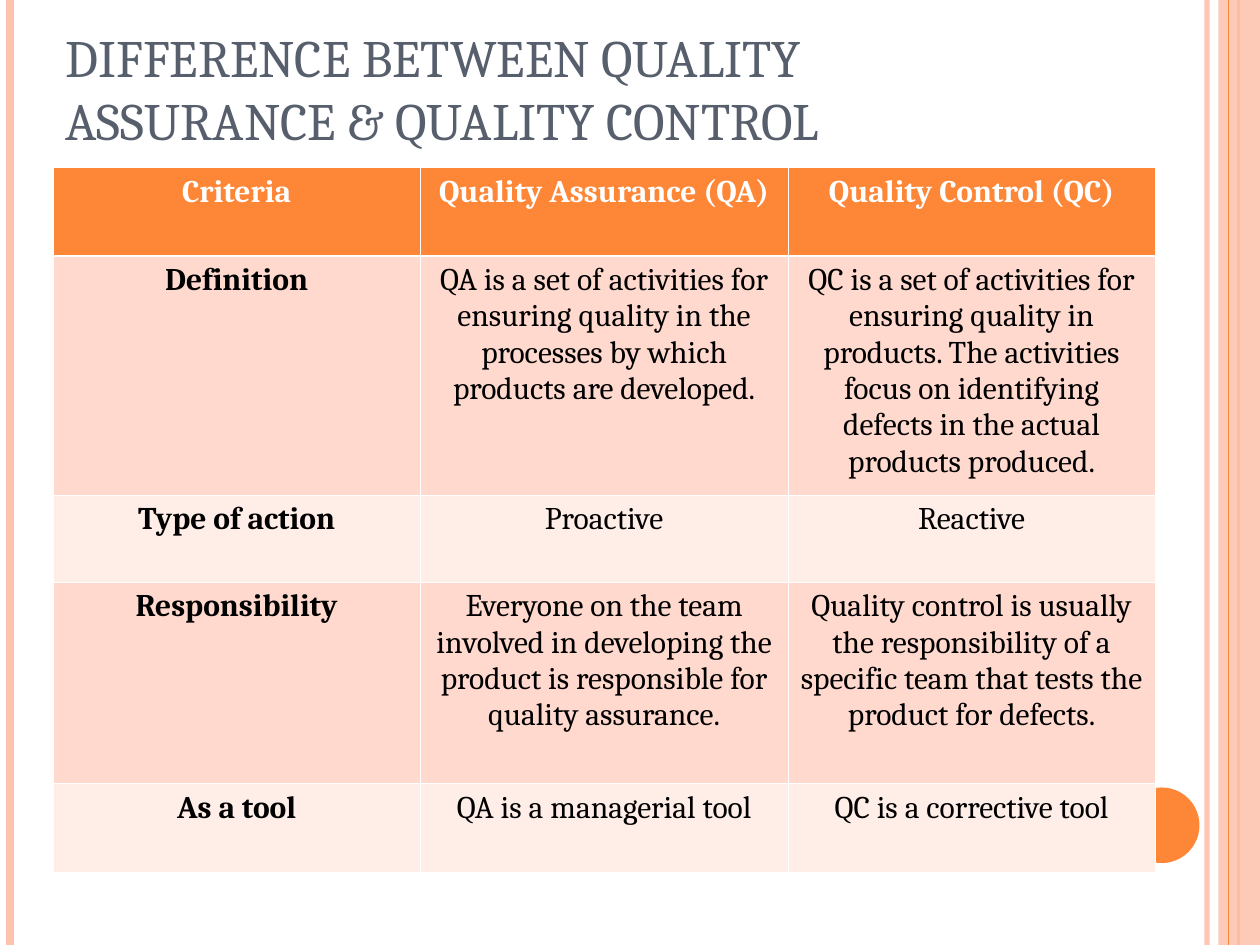
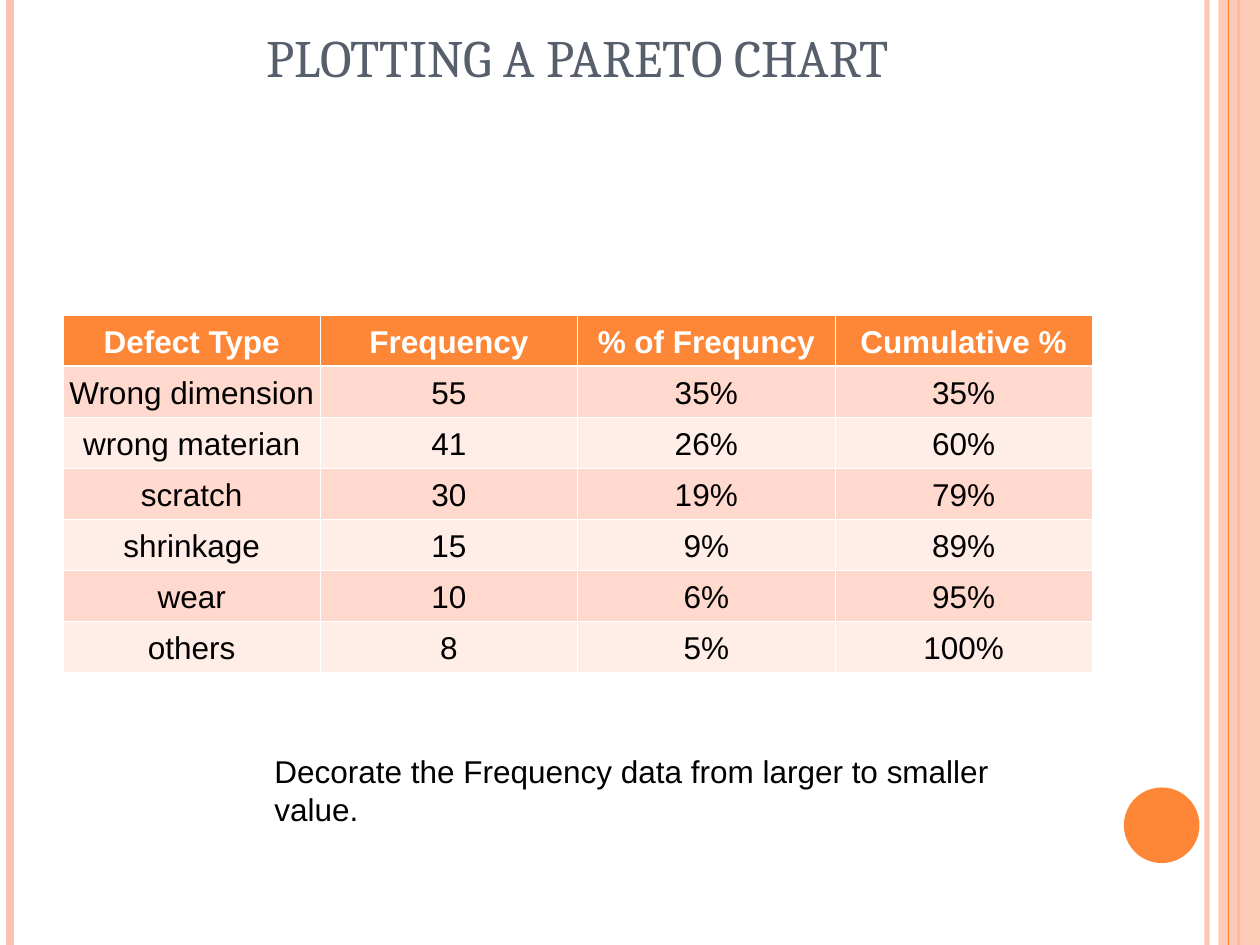
"""Build two slides on quality assurance and Pareto charts."""
import pptx
import pptx.dml.color
import pptx.enum.shapes
import pptx.enum.text
import pptx.oxml
import pptx.oxml.ns
import pptx.util
from lxml import etree

Inches = pptx.util.Inches
Pt = pptx.util.Pt
RGBColor = pptx.dml.color.RGBColor
Align = pptx.enum.text.PP_ALIGN
Anchor = pptx.enum.text.MSO_ANCHOR
Shape = pptx.enum.shapes.MSO_SHAPE
qn = pptx.oxml.ns.qn

WHITE = RGBColor(0xFF, 0xFF, 0xFF)
BLACK = RGBColor(0, 0, 0)
SLATE = RGBColor(0x57, 0x5F, 0x6D)
ORANGE = RGBColor(0xFE, 0x86, 0x37)
PEACH = RGBColor(0xFE, 0xC3, 0xAE)
BANDS = (RGBColor(0xFF, 0xD9, 0xCE), RGBColor(0xFF, 0xED, 0xE8))
SERIF, SANS = "Cambria", "Arial"
THIN, THICK = 0.45, 1.47

QUALITY = [
    ("Criteria", "Quality Assurance (QA)", "Quality Control (QC)"),
    ("Definition",
     "QA is a set of activities for ensuring quality in the processes "
     "by which products are developed.",
     "QC is a set of activities for ensuring quality in products. The "
     "activities focus on identifying defects in the actual products produced."),
    ("Type of action", "Proactive", "Reactive"),
    ("Responsibility",
     "Everyone on the team involved in developing the product is "
     "responsible for quality assurance.",
     "Quality control is usually the responsibility of a specific team "
     "that tests the product for defects."),
    ("As a tool", "QA is a managerial tool", "QC is a corrective tool"),
]
DEFECTS = [
    ("Defect Type", "Frequency", "% of Frequncy", "Cumulative %"),
    ("Wrong dimension", "55", "35%", "35%"),
    ("wrong materian", "41", "26%", "60%"),
    ("scratch", "30", "19%", "79%"),
    ("shrinkage", "15", "9%", "89%"),
    ("wear", "10", "6%", "95%"),
    ("others", "8", "5%", "100%"),
]


def set_font(para, face, size, color, bold=False):
    """Set the font of a paragraph."""
    font = para.font
    font.name, font.size, font.bold = face, Pt(size), bold
    font.color.rgb = color


def fade(shape, percent):
    """Make the colours of a shape partly transparent."""
    for color in shape.element.spPr.iter(qn("a:srgbClr")):
        etree.SubElement(color, qn("a:alpha"), val=str(percent * 1000))


def add_rule(slide, left, color, width):
    """Draw a full-height vertical line."""
    rule = slide.shapes.add_connector(
        pptx.enum.shapes.MSO_CONNECTOR.STRAIGHT,
        Inches(left), 0, Inches(left), Inches(7.5))
    rule.line.color.rgb = color
    rule.line.width = Pt(width)
    etree.SubElement(rule.element.spPr, qn("a:effectLst"))
    return rule


def add_solid(slide, kind, box, color):
    """Draw a filled shape without outline."""
    shape = slide.shapes.add_shape(kind, *map(Inches, box))
    shape.shadow.inherit = False
    shape.fill.solid()
    shape.fill.fore_color.rgb = color
    shape.line.fill.background()
    return shape


def add_frame(slide):
    """Draw the side bands and the disc."""
    fade(add_rule(slide, 9.58, PEACH, 3), 93)
    add_rule(slide, 0.08, PEACH, 4.5)
    add_rule(slide, 9.83, ORANGE, 1.5)
    fade(add_solid(slide, Shape.RECTANGLE, (9.67, 0, 0.33, 7.5), PEACH), 87)
    add_rule(slide, 9.75, ORANGE, 0.75)
    add_solid(slide, Shape.OVAL, (8.92, 6.25, 0.6, 0.6), ORANGE)


def add_page(deck, text, box, align):
    """Add a framed slide with its title."""
    slide = deck.slides.add_slide(deck.slide_layouts[5])
    title = slide.shapes.title
    title.left, title.top, title.width, title.height = map(Inches, box)
    frame = title.text_frame
    frame.text = text
    frame.auto_size = pptx.enum.text.MSO_AUTO_SIZE.NONE
    frame.vertical_anchor = Anchor.BOTTOM
    frame.paragraphs[0].alignment = align
    set_font(frame.paragraphs[0], SERIF, 30, SLATE)
    add_frame(slide)
    return slide


def add_edges(cell, row):
    """Draw white cell borders, thicker under the header."""
    widths = {"L": THIN, "R": THIN, "T": THICK if row == 1 else THIN,
              "B": THICK if row == 0 else THIN}
    props = cell._tc.get_or_add_tcPr()
    for side, width in widths.items():
        edge = etree.SubElement(props, qn(f"a:ln{side}"), w=str(Pt(width)))
        fill = etree.SubElement(edge, qn("a:solidFill"))
        etree.SubElement(fill, qn("a:srgbClr"), val=str(WHITE))


def add_grid(slide, rows, box, highs, face, anchor, inset, lead):
    """Add a banded table; lead makes the first column bold."""
    table = slide.shapes.add_table(
        len(rows), len(rows[0]), *map(Inches, box)).table
    for line, high in zip(table.rows, highs):
        line.height = Inches(high)
    for r, texts in enumerate(rows):
        for c, text in enumerate(texts):
            cell = table.cell(r, c)
            add_edges(cell, r)
            cell.fill.solid()
            cell.fill.fore_color.rgb = BANDS[(r - 1) % 2] if r else ORANGE
            cell.margin_left = cell.margin_right = Inches(inset)
            cell.vertical_anchor = anchor
            cell.text = text
            para = cell.text_frame.paragraphs[0]
            para.alignment = Align.CENTER
            set_font(para, face, 18, BLACK if r else WHITE,
                     r == 0 or (lead and c == 0))


def add_note(slide, text, box):
    """Add a wrapped text box."""
    frame = slide.shapes.add_textbox(*map(Inches, box)).text_frame
    frame.word_wrap = True
    frame.text = text
    set_font(frame.paragraphs[0], SANS, 18, BLACK)


def main():
    """Build and save the deck."""
    deck = pptx.Presentation()
    deck.slide_width, deck.slide_height = Inches(10), Inches(7.5)

    slide = add_page(
        deck, "DIFFERENCE BETWEEN QUALITY ASSURANCE & QUALITY CONTROL",
        (0.42, 0, 8.17, 1.25), Align.LEFT)
    add_grid(slide, QUALITY, (0.42, 1.33, 8.75, 5.59),
             (0.7, 1.9, 0.69, 1.6, 0.7), SERIF, Anchor.TOP, 0.1, True)

    slide = add_page(deck, "PLOTTING A PARETO CHART",
                     (0.5, 0.08, 8.17, 0.67), Align.CENTER)
    add_grid(slide, DEFECTS, (0.5, 2.5, 8.17, 2.84),
             [2.84 / len(DEFECTS)] * len(DEFECTS),
             SANS, Anchor.BOTTOM, 0.01, False)
    add_note(slide,
             "Decorate the Frequency data from larger to smaller value.",
             (2.08, 5.92, 6.17, 0.7))
    deck.save("out.pptx")


if __name__ == "__main__":
    main()
